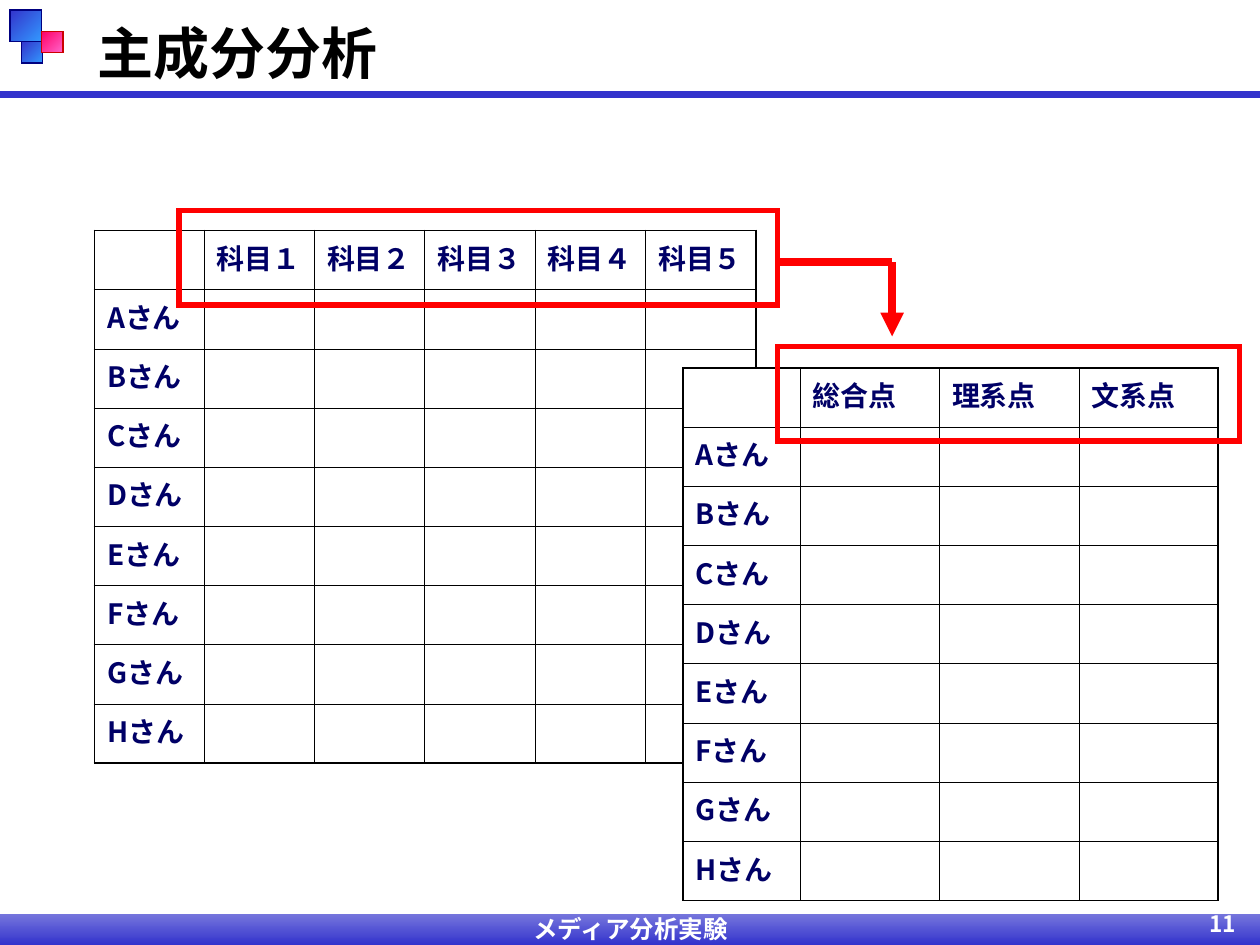
"""Build the principal component analysis slide with two overlapping score tables."""
from lxml import etree
from pptx import Presentation, util as u
from pptx.dml.color import RGBColor
from pptx.enum import shapes, text
from pptx.oxml import ns

FONT = "Noto Sans CJK JP"
COLORS = {
    "black": "000000", "white": "FFFFFF", "label": "000066", "accent": "FF0000",
    "rule": "3333CC", "pale": "7777DD", "sky": "3399FF", "navy": "000080",
    "rose": "FF0066", "pink": "FF66CC", "crimson": "CC0000",
}
TITLE = "主成分分析"
STUDENTS = [f"{letter}さん" for letter in "ABCDEFGH"]
SCORE_TABLES = [
    {"headers": ["科目１", "科目２", "科目３", "科目４", "科目５"],
     "at": (0.75, 1.83), "name_width": 0.87, "width": 5.25},
    {"headers": ["総合点", "理系点", "文系点"],
     "at": (5.42, 2.92), "name_width": 0.93, "width": 4.25},
]
ROW_HEIGHT = 0.47
HIGHLIGHTS = [(1.42, 1.67, 4.75, 0.75), (6.17, 2.75, 3.67, 0.75)]
ARROW_POINTS = [(6.17, 2.08), (7.08, 2.08), (7.08, 2.67)]
GRADIENT_BLOCKS = [
    ((0, 7.25, 10, 0.25), ("pale", "rule"), 270, None),
    ((0.17, 0.33, 0.17, 0.17), ("rule", "sky"), 315, "navy"),
    ((0.08, 0.08, 0.25, 0.25), ("rule", "sky"), 315, "navy"),
    ((0.33, 0.25, 0.17, 0.17), ("rose", "pink"), 315, "crimson"),
]
FOOTERS = [
    ("メディア分析実験", (3.42, 7.25, 3.17, 0.25), 14, text.PP_ALIGN.CENTER, 1.0),
    ("11", (7.83, 7.25, 2.08, 0.25), 12.9, text.PP_ALIGN.RIGHT, 0.9),
]


def color(key):
    return RGBColor.from_string(COLORS[key])


def inches(values):
    return [u.Inches(value) for value in values]


def write(frame, content, size, ink, align=text.PP_ALIGN.LEFT):
    frame.text = content
    paragraph = frame.paragraphs[0]
    paragraph.alignment = align
    for run in paragraph.runs:
        font = run.font
        font.name, font.size, font.bold = FONT, u.Pt(size), True
        font.color.rgb = color(ink)
        etree.SubElement(run._r.get_or_add_rPr(), ns.qn("a:ea"), typeface=FONT)
    return paragraph


def add_line(parent, start, end, ink, width, arrow=False):
    line = parent.add_connector(shapes.MSO_CONNECTOR.STRAIGHT, *inches(start + end))
    line.line.color.rgb = color(ink)
    line.line.width = u.Pt(width)
    if arrow:
        etree.SubElement(line.line._get_or_add_ln(), ns.qn("a:tailEnd"), type="triangle")
    etree.SubElement(line._element.spPr, ns.qn("a:effectLst"))


def add_rectangle(slide, box):
    rectangle = slide.shapes.add_shape(shapes.MSO_SHAPE.RECTANGLE, *inches(box))
    rectangle.shadow.inherit = False
    return rectangle


def outline(rectangle, ink, width):
    rectangle.line.color.rgb = color(ink)
    rectangle.line.width = u.Pt(width)
    etree.SubElement(rectangle.line._get_or_add_ln(), ns.qn("a:miter"), lim="800000")


def add_gradient_block(slide, box, stops, angle, edge):
    block = add_rectangle(slide, box)
    block.fill.gradient()
    block.fill.gradient_angle = angle
    for position, (stop, ink) in enumerate(zip(block.fill.gradient_stops, stops)):
        stop.position = position
        stop.color.rgb = color(ink)
    if edge:
        outline(block, edge, 0.75)
    else:
        block.line.fill.background()


def set_border(cell, side, width):
    border = etree.SubElement(cell._tc.get_or_add_tcPr(), ns.qn(f"a:ln{side}"), w=str(u.Pt(width)))
    fill = etree.SubElement(border, ns.qn("a:solidFill"))
    etree.SubElement(fill, ns.qn("a:srgbClr"), val=COLORS["black"])


def add_score_table(slide, headers, at, name_width, width):
    rows = [[""] + headers] + [[student] + [""] * len(headers) for student in STUDENTS]
    last_row, last_column = len(rows) - 1, len(headers)
    box = (*at, width, ROW_HEIGHT * len(rows))
    table = slide.shapes.add_table(len(rows), len(rows[0]), *inches(box)).table
    table.first_row = table.horz_banding = False
    for i, column in enumerate(table.columns):
        column.width = u.Inches((width - name_width) / len(headers) if i else name_width)
    for r, row in enumerate(rows):
        table.rows[r].height = u.Inches(ROW_HEIGHT)
        for c, label in enumerate(row):
            cell = table.cell(r, c)
            cell.margin_right = u.Inches(0.05)
            if label:
                write(cell.text_frame, label, 16, "label")
            edges = {"L": c == 0, "R": c == last_column, "T": r == 0, "B": r == last_row}
            for side, outer in edges.items():
                set_border(cell, side, 1.08 if outer else 0.45)
            cell.fill.solid()
            cell.fill.fore_color.rgb = color("white")


def add_footer(slide, content, box, size, align, spacing):
    frame = slide.shapes.add_textbox(*inches(box)).text_frame
    frame.word_wrap = True
    frame.margin_top = frame.margin_bottom = 0
    write(frame, content, size, "white", align).line_spacing = spacing


def main():
    deck = Presentation()
    deck.slide_width, deck.slide_height = inches((10, 7.5))
    slide = deck.slides.add_slide(deck.slide_layouts[5])
    title = slide.shapes.title
    title.left, title.top, title.width, title.height = inches((0.67, 0.08, 8.5, 0.67))
    title.text_frame.vertical_anchor = text.MSO_ANCHOR.MIDDLE
    write(title.text_frame, TITLE, 32, "black")

    add_line(slide.shapes, (0, 0.75), (10, 0.75), "rule", 4.5)
    for block in GRADIENT_BLOCKS:
        add_gradient_block(slide, *block)
    for footer in FOOTERS:
        add_footer(slide, *footer)
    for score_table in SCORE_TABLES:
        add_score_table(slide, **score_table)
    for box in HIGHLIGHTS:
        highlight = add_rectangle(slide, box)
        highlight.fill.background()
        outline(highlight, "accent", 3)
    arrow = slide.shapes.add_group_shape().shapes
    for start, end in zip(ARROW_POINTS, ARROW_POINTS[1:]):
        add_line(arrow, start, end, "accent", 4.5, arrow=end == ARROW_POINTS[-1])
    deck.save("out.pptx")


if __name__ == "__main__":
    main()
